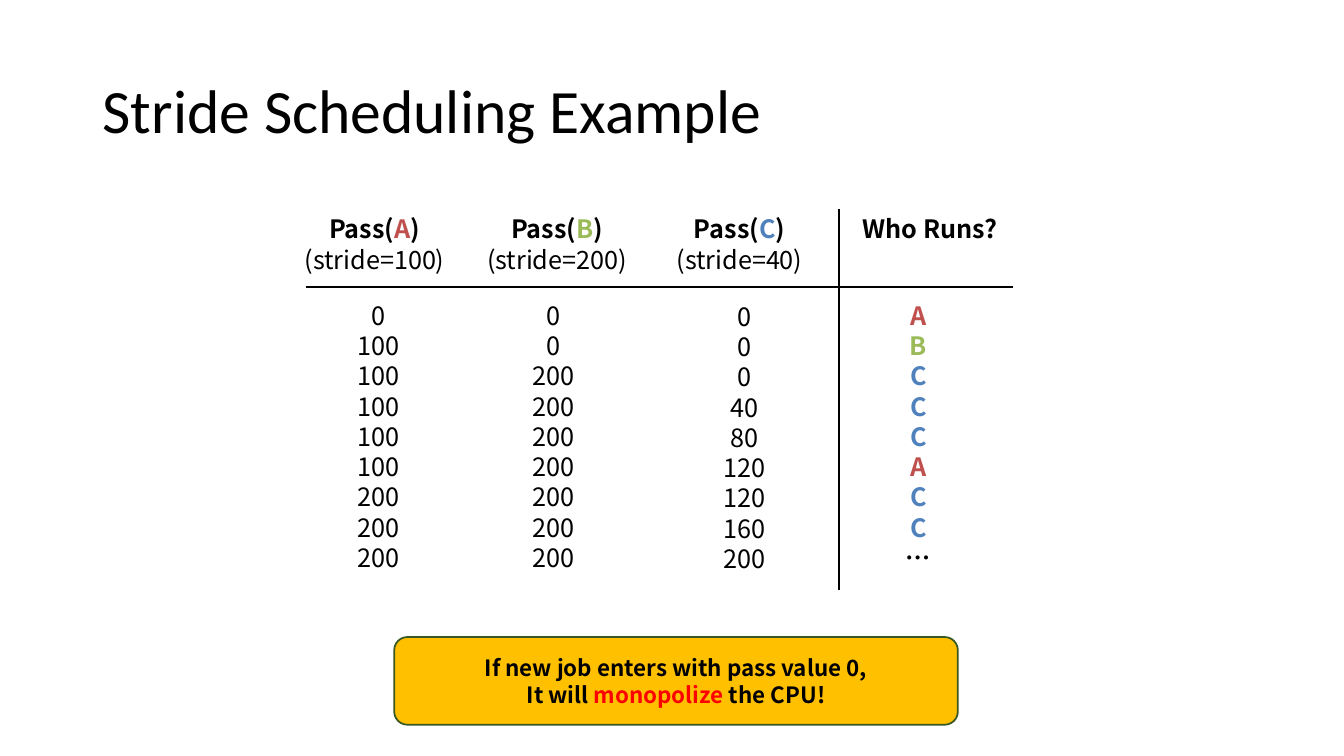
from dataclasses import dataclass

import pptx
import pptx.dml.color
import pptx.enum.shapes
import pptx.enum.text
import pptx.oxml
import pptx.oxml.ns
import pptx.util
from pptx.util import Inches

BODY_FONT = "Noto Sans CJK KR"
BLACK = "000000"
JOB_COLORS = {"A": "C0504D", "B": "9BBB59", "C": "4F81BD"}
HEADER_TOP, HEADER_WIDTH, HEADER_STEP = 2.07, 1.65, 1.81
VALUE_WIDTH, VALUE_HEIGHT = 1.26, 2.83


@dataclass(frozen=True)
class Span:
    text: str
    color: str = BLACK
    bold: bool = False


@dataclass(frozen=True)
class PassColumn:
    job: str
    stride: int
    left: float
    top: float
    passes: tuple[int, ...]


PASS_COLUMNS = (
    PassColumn("A", 100, 3.12, 2.93, (0, 100, 100, 100, 100, 100, 200, 200, 200)),
    PassColumn("B", 200, 4.86, 2.93, (0, 0, 200, 200, 200, 200, 200, 200, 200)),
    PassColumn("C", 40, 6.75, 2.94, (0, 0, 0, 40, 80, 120, 120, 160, 200)),
)
RUN_ORDER = "ABCCCACC…"


def rgb(color: str) -> pptx.dml.color.RGBColor:
    return pptx.dml.color.RGBColor.from_string(color)


def write_text(shape, lines: list[list[Span]], *, size: float = 18,
               font: str = BODY_FONT, align=pptx.enum.text.PP_ALIGN.CENTER,
               anchor=pptx.enum.text.MSO_ANCHOR.TOP, spacing: float | None = None) -> None:
    """Fill a shape with one paragraph per line of spans."""
    frame = shape.text_frame
    frame.word_wrap = True
    frame.vertical_anchor = anchor
    for index, line in enumerate(lines):
        para = frame.add_paragraph() if index else frame.paragraphs[0]
        para.alignment = align
        para.line_spacing = spacing
        for span in line:
            run = para.add_run()
            run.text = span.text
            run.font.size = pptx.util.Pt(size)
            run.font.name = font
            run.font.bold = span.bold
            run.font.color.rgb = rgb(span.color)
            east_asian = pptx.oxml.parse_xml(
                f'<a:ea {pptx.oxml.ns.nsdecls("a")} typeface="{font}"/>')
            run.font._element.append(east_asian)


def add_text(page, left: float, top: float, width: float, height: float,
             lines: list[list[Span]], **text_format) -> None:
    box = page.shapes.add_textbox(Inches(left), Inches(top), Inches(width), Inches(height))
    write_text(box, lines, **text_format)


def add_rule(page, left: float, top: float, right: float, bottom: float) -> None:
    rule = page.shapes.add_connector(
        pptx.enum.shapes.MSO_CONNECTOR.STRAIGHT,
        Inches(left), Inches(top), Inches(right), Inches(bottom))
    rule.line.color.rgb = rgb(BLACK)
    rule.line.width = pptx.util.Pt(1.5)
    rule._element.spPr.append(
        pptx.oxml.parse_xml(f'<a:effectLst {pptx.oxml.ns.nsdecls("a")}/>'))


def add_schedule(page) -> None:
    add_rule(page, 3.04, 2.85, 10.05, 2.85)
    add_rule(page, 8.32, HEADER_TOP, 8.32, 5.85)
    for index, column in enumerate(PASS_COLUMNS):
        heading = [Span("Pass(", bold=True),
                   Span(column.job, JOB_COLORS[column.job], bold=True),
                   Span(")", bold=True)]
        add_text(page, 2.89 + index * HEADER_STEP, HEADER_TOP, HEADER_WIDTH, 0.71,
                 [heading, [Span(f"(stride={column.stride})")]])
        add_text(page, column.left, column.top, VALUE_WIDTH, VALUE_HEIGHT,
                 [[Span(str(value))] for value in column.passes])
    add_text(page, 8.4, HEADER_TOP, HEADER_WIDTH, 0.4, [[Span("Who Runs?", bold=True)]])
    add_text(page, 8.48, 2.93, VALUE_WIDTH, VALUE_HEIGHT,
             [[Span(job, JOB_COLORS.get(job, BLACK), bold=True)] for job in RUN_ORDER])


def add_warning(page) -> None:
    warning = page.shapes.add_shape(
        pptx.enum.shapes.MSO_SHAPE.ROUNDED_RECTANGLE,
        Inches(3.91), Inches(6.32), Inches(5.59), Inches(0.87))
    warning.adjustments[0] = 0.15
    warning.shadow.inherit = False
    warning.fill.solid()
    warning.fill.fore_color.rgb = rgb("FFC000")
    warning.line.color.rgb = rgb("385723")
    warning.line.width = pptx.util.Pt(1.25)
    write_text(warning, [
        [Span("If new job enters with pass value 0,", bold=True)],
        [Span("It will ", bold=True), Span("monopolize", "FF0000", bold=True),
         Span(" the CPU!", bold=True)],
    ], size=16, anchor=pptx.enum.text.MSO_ANCHOR.MIDDLE)


def main() -> None:
    deck = pptx.Presentation()
    deck.slide_width, deck.slide_height = Inches(13.33), Inches(7.5)
    page = deck.slides.add_slide(deck.slide_layouts[6])
    add_text(page, 0.92, 0.4, 11.5, 1.45, [[Span("Stride Scheduling Example")]],
             size=44, font="Calibri", align=pptx.enum.text.PP_ALIGN.LEFT,
             anchor=pptx.enum.text.MSO_ANCHOR.MIDDLE, spacing=0.9)
    add_schedule(page)
    add_warning(page)
    deck.save("out.pptx")


if __name__ == "__main__":
    main()
